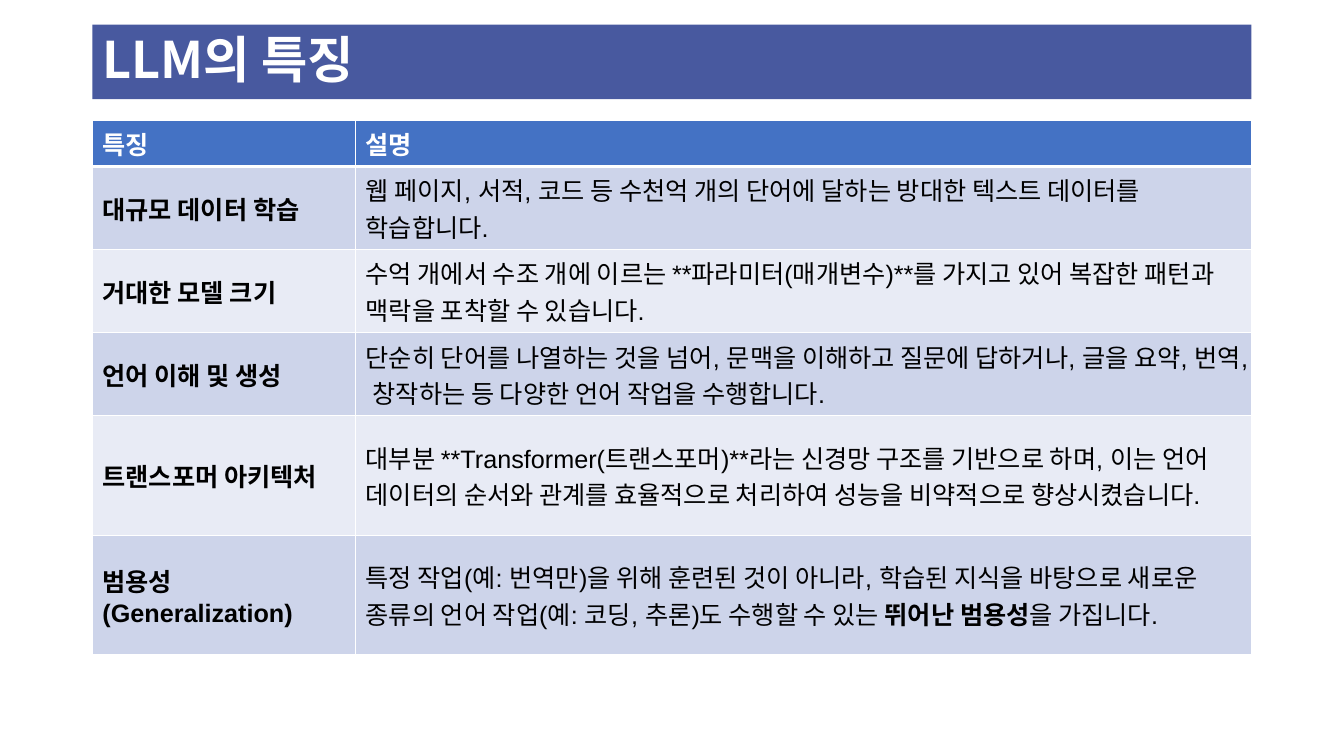
import pptx
import pptx.dml.color
import pptx.enum.shapes
import pptx.enum.text
import pptx.oxml
import pptx.oxml.ns
import pptx.util

Pt = pptx.util.Pt
RGBColor = pptx.dml.color.RGBColor
MIDDLE = pptx.enum.text.MSO_ANCHOR.MIDDLE

WHITE = RGBColor(0xFF, 0xFF, 0xFF)
BLACK = RGBColor(0x00, 0x00, 0x00)
TITLE_FILL = RGBColor(0x48, 0x59, 0x9F)
HEADER_FILL = RGBColor(0x44, 0x72, 0xC4)
BAND_FILLS = (RGBColor(0xCD, 0xD4, 0xEA), RGBColor(0xE8, 0xEB, 0xF5))

LATIN_FONT = "Arial"
KOREAN_FONT = "Noto Sans CJK KR"

COLUMN_WIDTHS = (188, 640)
ROW_HEIGHT = 29.2

HEADER = ("특징", "설명")
# Each feature has a name and a description made of (text, bold) runs.
FEATURES = [
    ("대규모 데이터 학습", [
        ("웹 페이지, 서적, 코드 등 수천억 개의 단어에 달하는 방대한 텍스트 데이터를 학습합니다.", False)]),
    ("거대한 모델 크기", [
        ("수억 개에서 수조 개에 이르는 **파라미터(매개변수)**를 가지고 있어 복잡한 패턴과 맥락을 포착할 수 있습니다.", False)]),
    ("언어 이해 및 생성", [
        ("단순히 단어를 나열하는 것을 넘어, 문맥을 이해하고 질문에 답하거나, 글을 요약, 번역, 창작하는 등 "
         "다양한 언어 작업을 수행합니다.", False)]),
    ("트랜스포머 아키텍처", [
        ("대부분 **Transformer(트랜스포머)**라는 신경망 구조를 기반으로 하며, 이는 언어 데이터의 순서와 관계를 "
         "효율적으로 처리하여 성능을 비약적으로 향상시켰습니다.", False)]),
    ("범용성 (Generalization)", [
        ("특정 작업(예: 번역만)을 위해 훈련된 것이 아니라, 학습된 지식을 바탕으로 새로운 종류의 언어 작업"
         "(예: 코딩, 추론)도 수행할 수 있는 ", False),
        ("뛰어난 범용성", True),
        ("을 가집니다.", False)]),
]


def add_run(paragraph, text, size, color, bold, latin_font=LATIN_FONT):
    run = paragraph.add_run()
    run.text = text
    run.font.size = Pt(size)
    run.font.bold = bold
    run.font.color.rgb = color
    run.font.name = latin_font
    east_asian = pptx.oxml.parse_xml(
        f'<a:ea {pptx.oxml.ns.nsdecls("a")} typeface="{KOREAN_FONT}"/>')
    run._r.get_or_add_rPr().append(east_asian)


def add_title_bar(slide, left, top, width, height):
    bar = slide.shapes.add_shape(
        pptx.enum.shapes.MSO_SHAPE.RECTANGLE, Pt(left), Pt(top), Pt(width), Pt(height))
    bar.shadow.inherit = False
    bar.fill.solid()
    bar.fill.fore_color.rgb = TITLE_FILL
    bar.line.fill.background()
    bar.text_frame.word_wrap = True
    bar.text_frame.vertical_anchor = MIDDLE
    paragraph = bar.text_frame.paragraphs[0]
    paragraph.alignment = pptx.enum.text.PP_ALIGN.LEFT
    paragraph.line_spacing = 0.9
    add_run(paragraph, "LLM의 특징", 36, WHITE, True, KOREAN_FONT)


def set_borders(cell, top_width, bottom_width):
    """Draw white borders, one point wide at the sides."""
    properties = cell._tc.get_or_add_tcPr()
    sides = (("lnL", 1), ("lnR", 1), ("lnT", top_width), ("lnB", bottom_width))
    for position, (side, width) in enumerate(sides):
        properties.insert(position, pptx.oxml.parse_xml(
            f'<a:{side} {pptx.oxml.ns.nsdecls("a")} w="{Pt(width)}">'
            f'<a:solidFill><a:srgbClr val="{WHITE}"/></a:solidFill></a:{side}>'))


def fill_cell(cell, runs, fill, color, top_width=1, bottom_width=1):
    cell.fill.solid()
    cell.fill.fore_color.rgb = fill
    cell.vertical_anchor = MIDDLE
    set_borders(cell, top_width, bottom_width)
    for text, bold in runs:
        add_run(cell.text_frame.paragraphs[0], text, 18, color, bold)


def add_feature_table(slide, left, top):
    row_count = len(FEATURES) + 1
    table = slide.shapes.add_table(
        row_count, len(COLUMN_WIDTHS), Pt(left), Pt(top),
        Pt(sum(COLUMN_WIDTHS)), Pt(row_count * ROW_HEIGHT)).table
    for column, width in zip(table.columns, COLUMN_WIDTHS):
        column.width = Pt(width)
    for column_index, heading in enumerate(HEADER):
        fill_cell(table.cell(0, column_index), [(heading, True)],
                  HEADER_FILL, WHITE, bottom_width=3)
    for row_index, (name, description) in enumerate(FEATURES, start=1):
        fill = BAND_FILLS[(row_index - 1) % 2]
        top_width = 3 if row_index == 1 else 1
        for column_index, runs in enumerate(([(name, True)], description)):
            fill_cell(table.cell(row_index, column_index), runs, fill, BLACK, top_width)


def main():
    presentation = pptx.Presentation()
    presentation.slide_width = Pt(960)
    presentation.slide_height = Pt(540)
    slide = presentation.slides.add_slide(presentation.slide_layouts[6])
    add_title_bar(slide, 66, 17.6, sum(COLUMN_WIDTHS), 53.3)
    add_feature_table(slide, 66, 85.7)
    presentation.save("out.pptx")


if __name__ == "__main__":
    main()
